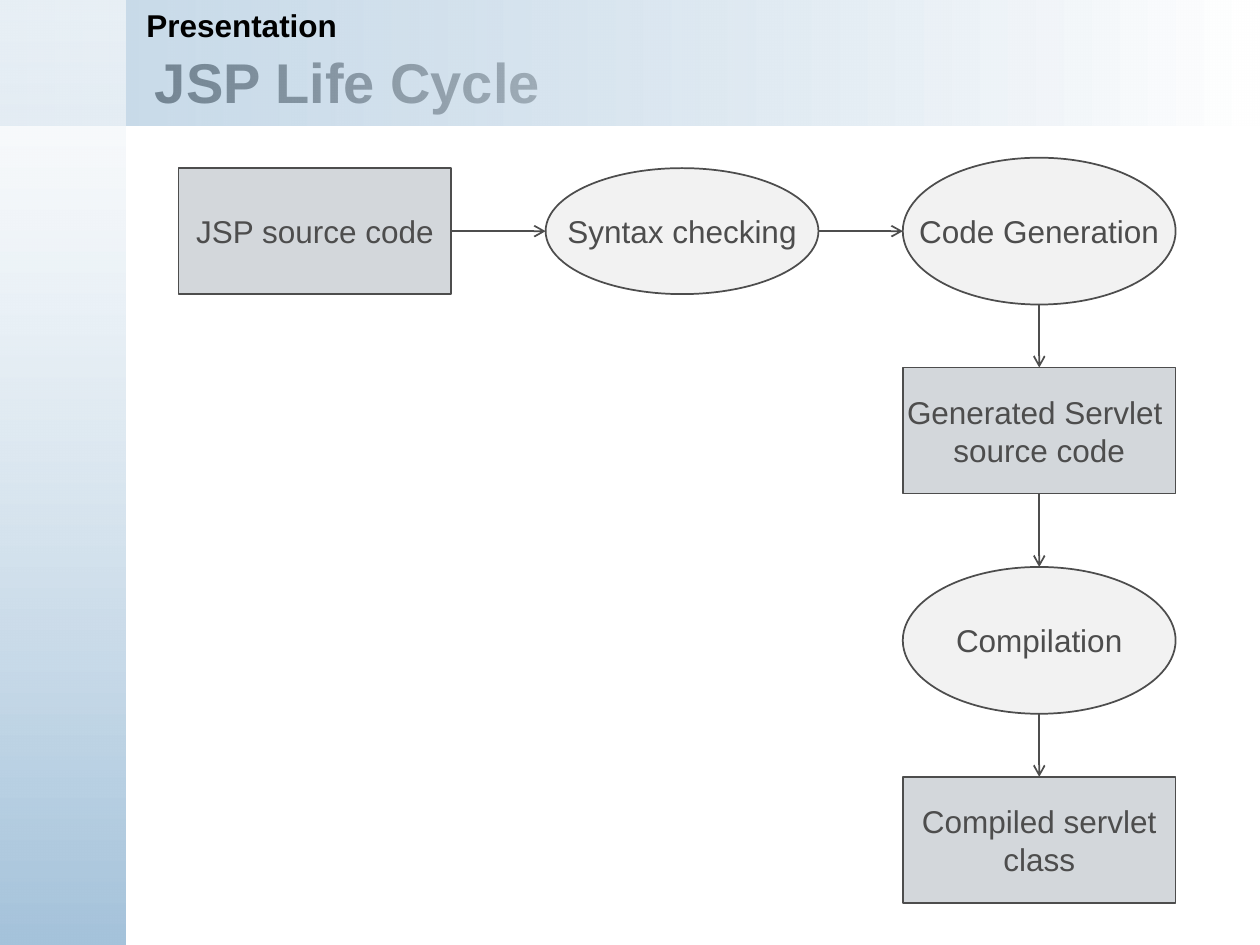
from dataclasses import dataclass
from itertools import pairwise

from lxml.etree import SubElement
from pptx import Presentation
from pptx.dml.color import RGBColor
from pptx.enum.shapes import MSO_CONNECTOR, MSO_SHAPE
from pptx.enum.text import MSO_ANCHOR, MSO_AUTO_SIZE, PP_ALIGN
from pptx.oxml.ns import qn
from pptx.util import Cm, Pt


@dataclass(frozen=True)
class Theme:
    font: str = "Arial"
    heading: RGBColor = RGBColor(0, 0, 0)
    ink: RGBColor = RGBColor(0x4D, 0x4D, 0x4D)
    artifact: RGBColor = RGBColor(0xD3, 0xD7, 0xDB)
    process: RGBColor = RGBColor(0xF2, 0xF2, 0xF2)
    blue: RGBColor = RGBColor(0xA5, 0xC3, 0xDB)
    white: RGBColor = RGBColor(0xFF, 0xFF, 0xFF)
    title_size: Pt = Pt(32)
    text_size: Pt = Pt(18)
    line_width: Pt = Pt(1)


@dataclass(frozen=True)
class Step:
    text: str
    column: float
    row: float
    is_process: bool = False
    height: float = 2.54
    wrap: bool = False
    padded: bool = True


THEME = Theme()
SLIDE_WIDTH, SLIDE_HEIGHT, BAND = 25.4, 19.05, 2.54
STEP_WIDTH, TALL = 5.5, 2.96
COLUMNS = (3.6, 11.0, 18.2)  # left edges, cm
ROWS = (4.66, 8.68, 12.91, 16.93)  # centre lines, cm
TOP, LEFT, BOTTOM, RIGHT = range(4)

STEPS = (
    Step("JSP source code", COLUMNS[0], ROWS[0]),
    Step("Syntax checking", COLUMNS[1], ROWS[0], is_process=True),
    Step("Code Generation", COLUMNS[2], ROWS[0], is_process=True, height=TALL),
    Step("Generated Servlet \nsource code", COLUMNS[2], ROWS[1], wrap=True, padded=False),
    Step("Compilation", COLUMNS[2], ROWS[2], is_process=True, height=TALL),
    Step("Compiled servlet class", COLUMNS[2], ROWS[3], wrap=True),
)


def write(box, text: str, *, size=THEME.text_size, color=THEME.ink, bold=False,
          align=PP_ALIGN.CENTER, anchor=MSO_ANCHOR.MIDDLE, wrap=True) -> None:
    frame = box.text_frame
    frame.text = text
    frame.word_wrap = wrap
    frame.auto_size = MSO_AUTO_SIZE.NONE
    frame.vertical_anchor = anchor
    for para in frame.paragraphs:
        para.alignment = align
        for span in para.runs:
            font = span.font
            font.name, font.size, font.bold = THEME.font, size, bold
            font.color.rgb = color


def add_band(page, width: float, height: float, colors, opacity: int, angle: int) -> None:
    """Gradient band from the top left corner; its first stop is translucent."""
    band = page.shapes.add_shape(MSO_SHAPE.RECTANGLE, 0, 0, Cm(width), Cm(height))
    band.shadow.inherit = False
    band.line.fill.background()
    band.fill.gradient()
    band.fill.gradient_angle = angle
    for stop, color in zip(band.fill.gradient_stops, colors):
        stop.color.rgb = color
    first_color = next(band.element.iter(qn("a:srgbClr")))
    SubElement(first_color, qn("a:alpha"), val=str(opacity * 1000))


def add_step(page, step: Step):
    kind = MSO_SHAPE.OVAL if step.is_process else MSO_SHAPE.RECTANGLE
    box = page.shapes.add_shape(kind, Cm(step.column), Cm(step.row - step.height / 2),
                                Cm(STEP_WIDTH), Cm(step.height))
    box.shadow.inherit = False
    box.fill.solid()
    box.fill.fore_color.rgb = THEME.process if step.is_process else THEME.artifact
    box.line.color.rgb = THEME.ink
    box.line.width = THEME.line_width
    if not step.padded:
        frame = box.text_frame
        frame.margin_left = frame.margin_right = frame.margin_top = frame.margin_bottom = 0
    write(box, step.text, wrap=step.wrap)
    return box


def side_point(box, side: int) -> tuple[int, int]:
    middle_x, middle_y = box.left + box.width // 2, box.top + box.height // 2
    return {TOP: (middle_x, box.top), LEFT: (box.left, middle_y),
            BOTTOM: (middle_x, box.top + box.height),
            RIGHT: (box.left + box.width, middle_y)}[side]


def add_arrow(page, source, target) -> None:
    across = target.left > source.left
    leave, enter = (RIGHT, LEFT) if across else (BOTTOM, TOP)
    arrow = page.shapes.add_connector(MSO_CONNECTOR.STRAIGHT, *side_point(source, leave),
                                      *side_point(target, enter))
    # Rectangles number their sides 0 to 3; ovals have other sites
    if source.auto_shape_type == MSO_SHAPE.RECTANGLE:
        arrow.begin_connect(source, leave)
    if target.auto_shape_type == MSO_SHAPE.RECTANGLE:
        arrow.end_connect(target, enter)
    arrow.line.color.rgb = THEME.ink
    arrow.line.width = THEME.line_width
    SubElement(arrow.line._get_or_add_ln(), qn("a:tailEnd"), type="arrow")
    SubElement(arrow.element.spPr, qn("a:effectLst"))


def main() -> None:
    deck = Presentation()
    deck.slide_width, deck.slide_height = Cm(SLIDE_WIDTH), Cm(SLIDE_HEIGHT)
    page = deck.slides.add_slide(deck.slide_layouts[5])

    # Background bands
    add_band(page, SLIDE_WIDTH, BAND, (THEME.blue, THEME.white), opacity=62, angle=0)
    add_band(page, BAND, SLIDE_HEIGHT, (THEME.white, THEME.blue), opacity=59, angle=270)

    # Headings
    title = page.shapes.title
    title.left, title.top, title.width, title.height = Cm(2.87), Cm(0.91), Cm(21.46), Cm(1.45)
    write(title, "JSP Life Cycle", size=THEME.title_size, color=THEME.heading,
          bold=True, align=PP_ALIGN.LEFT)
    section = page.shapes.add_textbox(Cm(2.7), 0, Cm(22.7), Cm(1.02))
    write(section, "Presentation", color=THEME.heading, bold=True,
          align=PP_ALIGN.LEFT, anchor=MSO_ANCHOR.TOP)

    # Flow: each step leads to the next
    boxes = [add_step(page, step) for step in STEPS]
    for source, target in pairwise(boxes):
        add_arrow(page, source, target)

    deck.save("out.pptx")


if __name__ == "__main__":
    main()
